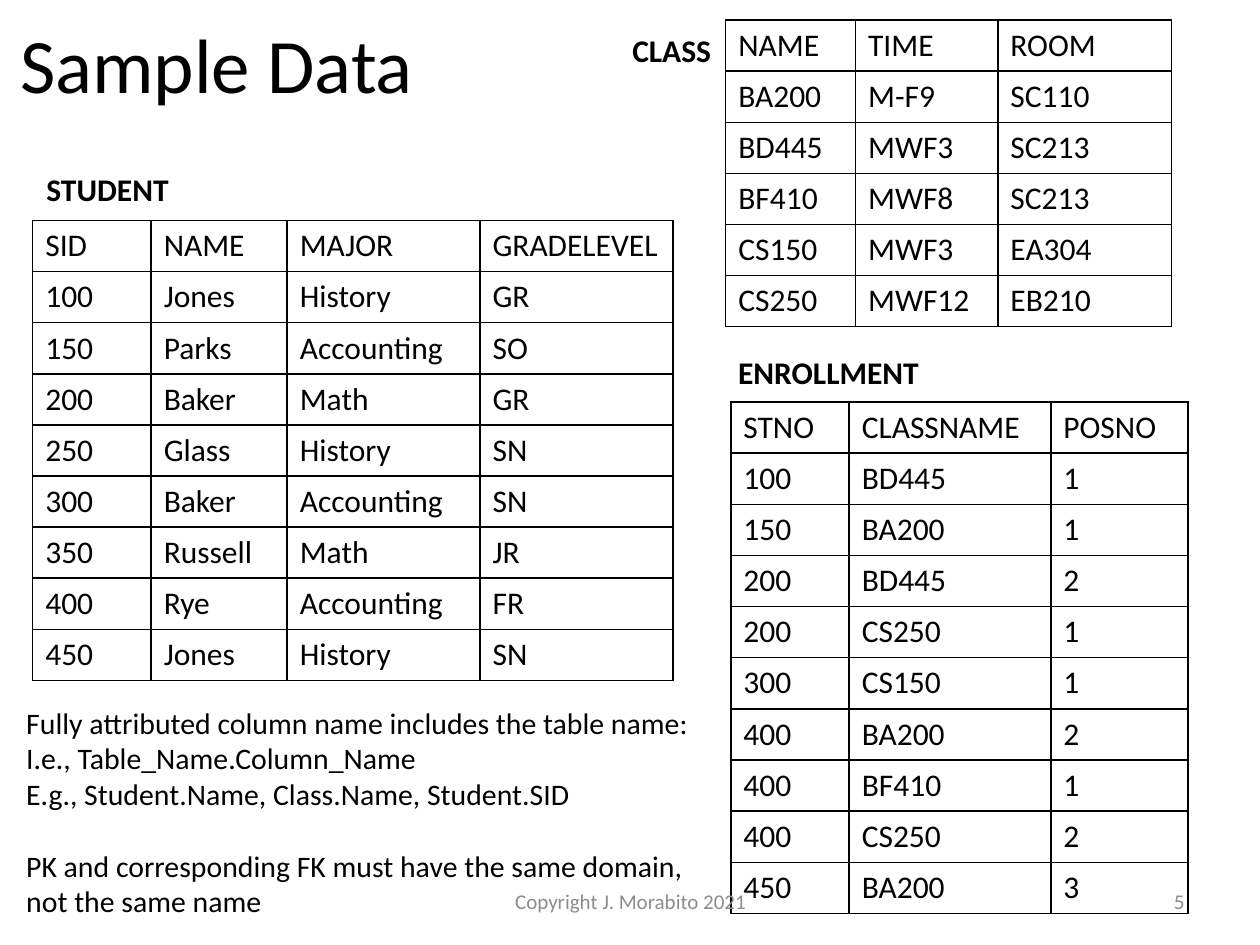
from dataclasses import dataclass

from lxml.etree import SubElement
from pptx import Presentation
from pptx.dml.color import RGBColor
from pptx.enum.text import MSO_ANCHOR as Anchor, PP_ALIGN as Align
from pptx.oxml.ns import qn
from pptx.util import Inches, Pt


@dataclass(frozen=True)
class Theme:
    font: str = "Calibri"
    ink: str = "000000"
    muted: str = "8C8C8C"
    title_size: int = 44
    table_size: int = 18
    note_size: int = 17
    footer_size: int = 12
    border_width: int = 1


THEME = Theme()


def write_text(frame, text, size, color=THEME.ink, bold=False,
               align=Align.LEFT, anchor=Anchor.TOP, wrap=True):
    """Fill a text frame, one paragraph per line of text."""
    frame.text = text
    frame.word_wrap = wrap
    frame.vertical_anchor = anchor
    for paragraph in frame.paragraphs:
        paragraph.alignment = align
        font = paragraph.font
        for run in paragraph.runs:
            font = run.font
            font.name = THEME.font
            font.size = Pt(size)
            font.bold = bold
            font.color.rgb = RGBColor.from_string(color)


class SlideBuilder:
    def __init__(self, slide, theme):
        self.slide = slide
        self.theme = theme

    def title(self, text, left, top, width, height):
        title = self.slide.shapes.title
        title.left, title.top = Inches(left), Inches(top)
        title.width, title.height = Inches(width), Inches(height)
        write_text(title.text_frame, text, self.theme.title_size,
                   anchor=Anchor.MIDDLE)

    def text(self, text, left, top, width, height, size, **text_format):
        box = self.slide.shapes.add_textbox(
            Inches(left), Inches(top), Inches(width), Inches(height))
        write_text(box.text_frame, text, size, **text_format)
        return box.text_frame

    def label(self, text, left, top, width):
        self.text(text, left, top, width, 0.4, self.theme.table_size,
                  bold=True, wrap=False)

    def footer(self, text, left, width, align):
        self.text(text, left, 6.95, width, 0.4, self.theme.footer_size,
                  color=self.theme.muted, align=align, anchor=Anchor.MIDDLE)

    def table(self, rows, left, top, height, column_widths):
        table = self.slide.shapes.add_table(
            len(rows), len(column_widths), Inches(left), Inches(top),
            Inches(sum(column_widths)), Inches(height)).table
        table.first_row = table.horz_banding = False
        for column, width in zip(table.columns, column_widths):
            column.width = Inches(width)
        for table_row, values in zip(table.rows, rows):
            for cell, value in zip(table_row.cells, values):
                write_text(cell.text_frame, value, self.theme.table_size)
                self.outline(cell)
                cell.fill.background()

    def outline(self, cell):
        """Draw all four borders of a cell; call before setting its fill."""
        properties = cell._tc.get_or_add_tcPr()
        for side in ("a:lnL", "a:lnR", "a:lnT", "a:lnB"):
            line = SubElement(properties, qn(side),
                              w=str(Pt(self.theme.border_width)))
            fill = SubElement(line, qn("a:solidFill"))
            SubElement(fill, qn("a:srgbClr"), val=self.theme.ink)


STUDENTS = [
    ("SID", "NAME", "MAJOR", "GRADELEVEL"),
    ("100", "Jones", "History", "GR"),
    ("150", "Parks", "Accounting", "SO"),
    ("200", "Baker", "Math", "GR"),
    ("250", "Glass", "History", "SN"),
    ("300", "Baker", "Accounting", "SN"),
    ("350", "Russell", "Math", "JR"),
    ("400", "Rye", "Accounting", "FR"),
    ("450", "Jones", "History", "SN"),
]
CLASSES = [
    ("NAME", "TIME", "ROOM"),
    ("BA200", "M-F9", "SC110"),
    ("BD445", "MWF3", "SC213"),
    ("BF410", "MWF8", "SC213"),
    ("CS150", "MWF3", "EA304"),
    ("CS250", "MWF12", "EB210"),
]
ENROLLMENTS = [
    ("STNO", "CLASSNAME", "POSNO"),
    ("100", "BD445", "1"),
    ("150", "BA200", "1"),
    ("200", "BD445", "2"),
    ("200", "CS250", "1"),
    ("300", "CS150", "1"),
    ("400", "BA200", "2"),
    ("400", "BF410", "1"),
    ("400", "CS250", "2"),
    ("450", "BA200", "3"),
]
NAMING_NOTES = "\n".join([
    "Fully attributed column name includes the table name:",
    "I.e., Table_Name.Column_Name",
    "E.g., Student.Name, Class.Name, Student.SID",
    "PK and corresponding FK must have the same domain, not the same name",
])


def main():
    deck = Presentation()
    deck.slide_width, deck.slide_height = Inches(10), Inches(7.5)
    title_only = deck.slide_layouts[5]
    builder = SlideBuilder(deck.slides.add_slide(title_only), THEME)

    builder.title("Sample Data", 0.06, 0.08, 9, 0.84)
    builder.table(STUDENTS, 0.26, 1.75, 3.65, (0.94, 1.08, 1.53, 1.53))
    builder.table(CLASSES, 5.76, 0.16, 2.43, (1.03, 1.13, 1.38))
    builder.table(ENROLLMENTS, 5.8, 3.19, 4.06, (0.94, 1.6, 1.09))

    builder.label("STUDENT", 0.27, 1.3, 1.18)
    builder.label("ENROLLMENT", 5.76, 2.75, 1.65)
    builder.label("CLASS", 4.92, 0.2, 0.83)

    builder.footer("Copyright J. Morabito 2021", 3.42, 3.17, Align.CENTER)
    builder.footer("5", 7.17, 2.33, Align.RIGHT)

    notes = builder.text(NAMING_NOTES, 0.11, 5.54, 5.5, 1.82, THEME.note_size)
    key_rule = notes.paragraphs[-1]
    key_rule.space_before = Pt(20.5)

    deck.save("out.pptx")


if __name__ == "__main__":
    main()
